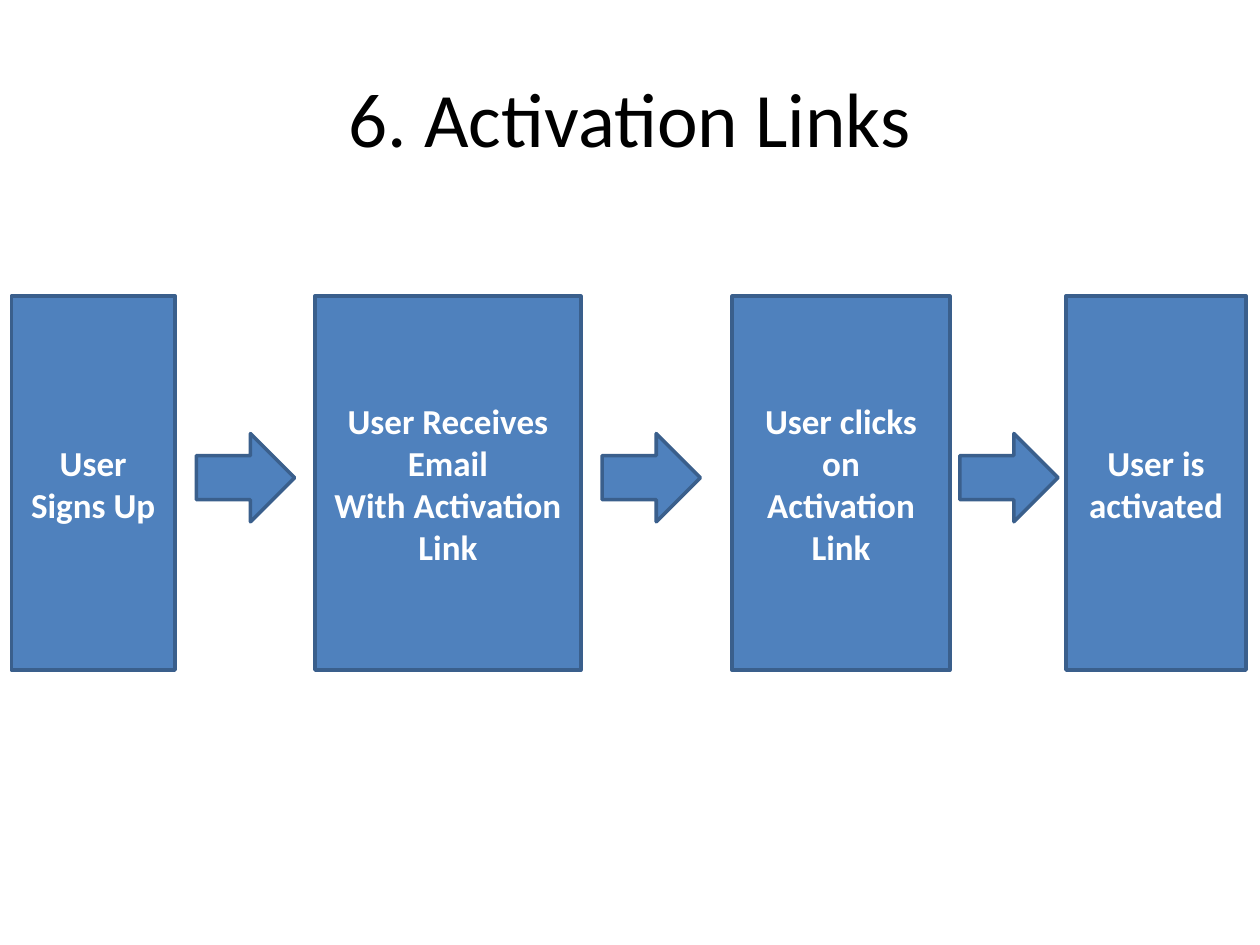
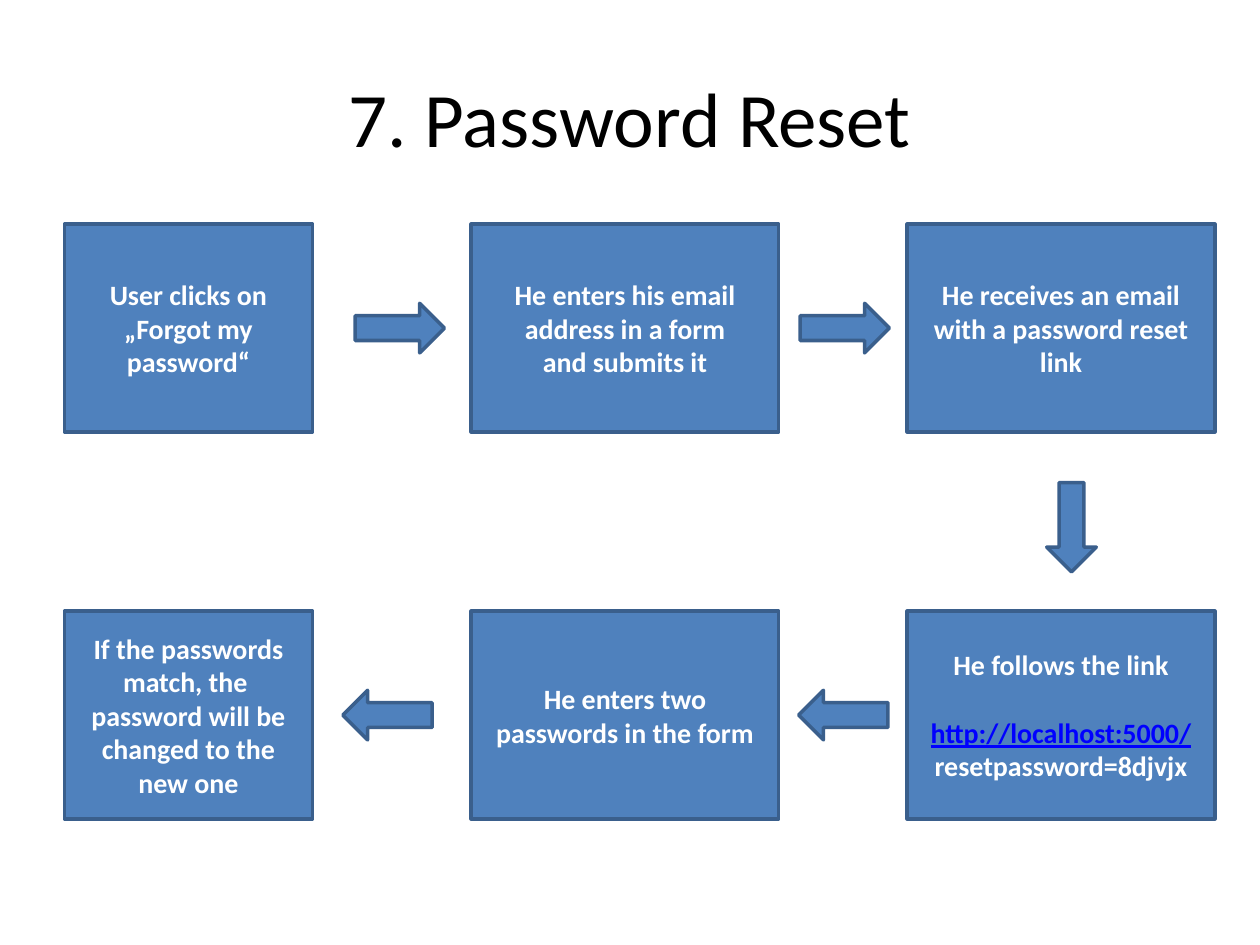
from collections import namedtuple

from pptx import Presentation
from pptx.dml.color import RGBColor
from pptx.enum import shapes, text
from pptx.util import Cm, Pt

BLACK = RGBColor(0x00, 0x00, 0x00)
WHITE = RGBColor(0xFF, 0xFF, 0xFF)
BLUE = RGBColor(0x4F, 0x81, 0xBD)
DARK_BLUE = RGBColor(0x3A, 0x5F, 0x8C)
LINK_BLUE = RGBColor(0x00, 0x00, 0xFF)
FONT = "Calibri"
LINK = "http://localhost:5000/"

Box = namedtuple("Box", "left top width height")
TITLE_BOX = Box(1.27, 0.76, 22.86, 3.18)
ACTIVATION_BOX = Box(0.23, 5.97, 24.89, 7.54)
RESET_BOX = Box(1.3, 4.52, 23.19, 11.99)

ACTIVATION_STEPS = [
    (0, 3.3, "User Signs Up"),
    (6.12, 5.36, "User Receives Email\nWith Activation Link"),
    (14.53, 4.39, "User clicks on Activation Link"),
    (21.26, 3.63, "User is activated"),
]
ACTIVATION_ARROWS = [3.73, 11.91, 19.12]

RESET_COLUMNS = [(0, 5), (8.2, 6.2), (16.99, 6.2)]
RESET_ROWS = [
    (
        [
            "User clicks on „Forgot my password“",
            "He enters his email address in a form\nand submits it",
            "He receives an email with a password reset\nlink",
        ],
        [5.86, 14.83],
        0,
    ),
    (
        [
            "If the passwords match, the \npassword will be changed to the new one",
            "He enters two passwords in the form",
            f"He follows the link\n{LINK}\nresetpassword=8djvjx",
        ],
        [5.61, 14.8],
        180,
    ),
]


def inside(box, left, top, width, height):
    return Box(box.left + left, box.top + top, width, height)


def write(shape, words, size, color, bold=False):
    frame = shape.text_frame
    frame.word_wrap = True
    frame.vertical_anchor = text.MSO_ANCHOR.MIDDLE
    frame.text = words
    for para in frame.paragraphs:
        para.alignment = text.PP_ALIGN.CENTER
        for span in para.runs:
            span.font.name = FONT
            span.font.size = Pt(size)
            span.font.bold = bold
            span.font.color.rgb = color


def add_title(page, box, words):
    title = page.shapes.add_textbox(*map(Cm, box))
    write(title, words, 44, BLACK)


def add_block(page, kind, box):
    block = page.shapes.add_shape(kind, *map(Cm, box))
    block.shadow.inherit = False
    block.fill.solid()
    block.fill.fore_color.rgb = BLUE
    block.line.color.rgb = DARK_BLUE
    block.line.width = Pt(2)
    return block


def add_step(page, box, words, size):
    step = add_block(page, shapes.MSO_SHAPE.RECTANGLE, box)
    write(step, words, size, WHITE, bold=True)
    return step


def add_arrow(page, box, rotation=0):
    arrow = add_block(page, shapes.MSO_SHAPE.RIGHT_ARROW, box)
    arrow.rotation = rotation


def mark_link(step):
    for para in step.text_frame.paragraphs:
        if para.text == LINK:
            para.space_before = Pt(19.5)
            para.runs[0].font.color.rgb = LINK_BLUE
            para.runs[0].font.underline = True


def add_activation_flow(page, box):
    for left, width, words in ACTIVATION_STEPS:
        add_step(page, inside(box, left, 0, width, box.height), words, 20)
    for left in ACTIVATION_ARROWS:
        add_arrow(page, inside(box, left, 2.77, 1.98, 1.78))


def add_reset_flow(page, box):
    step_height = 4.19
    arrow_width, arrow_height = 1.8, 1
    row_pitch = box.height - step_height
    for row, (steps, arrows, rotation) in enumerate(RESET_ROWS):
        top = row * row_pitch
        for (left, width), words in zip(RESET_COLUMNS, steps):
            place = inside(box, left, top, width, step_height)
            mark_link(add_step(page, place, words, 16))
        arrow_top = top + (step_height - arrow_height) / 2
        for left in arrows:
            place = inside(box, left, arrow_top, arrow_width, arrow_height)
            add_arrow(page, place, rotation)
    add_arrow(page, inside(box, 19.4, 5.61, arrow_width, arrow_height), 90)


def main():
    deck = Presentation()
    deck.slide_width, deck.slide_height = Cm(25.4), Cm(19.05)
    blank = deck.slide_layouts[6]
    for words, add_flow, box in (
        ("6. Activation Links", add_activation_flow, ACTIVATION_BOX),
        ("7. Password Reset", add_reset_flow, RESET_BOX),
    ):
        page = deck.slides.add_slide(blank)
        add_title(page, TITLE_BOX, words)
        add_flow(page, box)
    deck.save("out.pptx")


if __name__ == "__main__":
    main()
